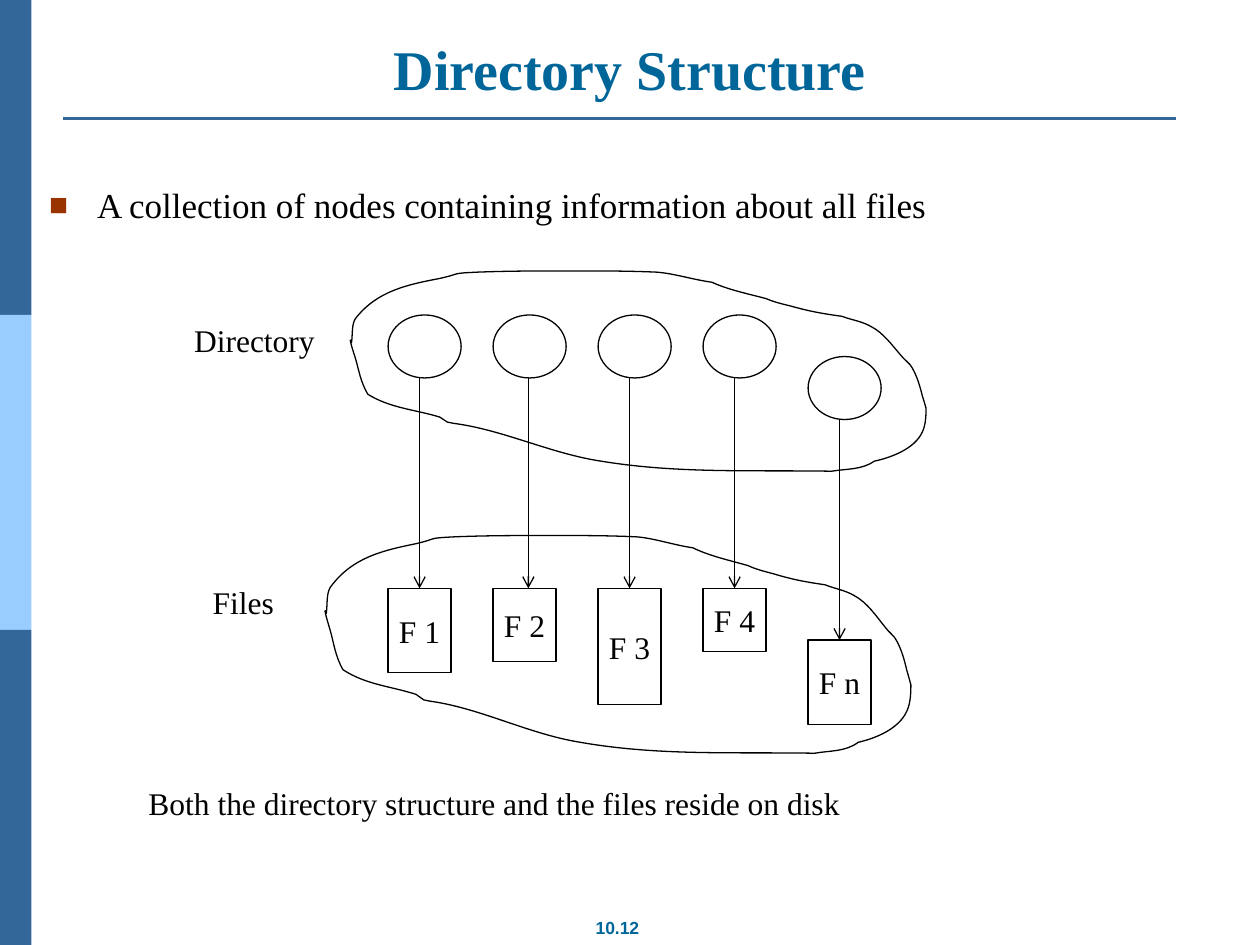
from lxml.etree import SubElement as Sub
from pptx import Presentation
from pptx.dml.color import RGBColor as RGB
from pptx.enum.shapes import MSO_CONNECTOR as Link, MSO_SHAPE as Kind
from pptx.enum.text import MSO_ANCHOR as Anchor, MSO_AUTO_SIZE as Auto, PP_ALIGN as Align
from pptx.oxml.ns import qn
from pptx.util import Inches, Pt

COLORS = {"dark": "336699", "light": "99CCFF", "title": "006699",
          "mark": "993300", "ink": "000000", "paper": "FFFFFF"}
SERIF, SANS = "Times New Roman", "Arial"
PITCH = 5 / 6

START = (1, 57)
SPAN = (458, 161)
CURVES = [
    (2, 50, 1, 43, 4, 38), (21, 16, 45, 11, 71, 6), (89, 2, 79, 2, 101, 1),
    (126, 0, 151, 0, 177, 0), (199, 0, 221, 0, 243, 1), (257, 2, 272, 7, 287, 9),
    (300, 15, 315, 18, 330, 22), (337, 25, 342, 26, 350, 28),
    (364, 32, 375, 34, 390, 36), (398, 39, 406, 40, 413, 44),
    (423, 49, 430, 59, 437, 67), (440, 71, 444, 73, 446, 77),
    (450, 84, 452, 91, 454, 99), (455, 102, 457, 109, 457, 109),
    (457, 113, 457, 122, 454, 128), (448, 141, 430, 148, 416, 151),
    (406, 158, 394, 157, 382, 159), (318, 158, 260, 161, 199, 151),
    (159, 145, 121, 126, 82, 121), (80, 121, 79, 120, 77, 120),
    (75, 119, 73, 117, 71, 116), (51, 110, 32, 109, 14, 98),
    (8, 88, 7, 79, 4, 69), (4, 69, 0, 57, 0, 55), (0, 54, 1, 56, 1, 57),
]


def color(name):
    return RGB.from_string(COLORS[name])


def place(shape, box):
    shape.left, shape.top, shape.width, shape.height = map(Inches, box)


def write(shape, text, size=18, font=SERIF, ink="ink", bold=False,
          align=Align.CENTER, anchor=Anchor.MIDDLE, wrap=False):
    frame = shape.text_frame
    frame.text = text
    frame.auto_size = Auto.NONE
    frame.word_wrap = wrap
    frame.vertical_anchor = anchor
    para = frame.paragraphs[0]
    para.alignment = align
    para.space_before = Pt(0)
    style = para.runs[0].font
    style.name, style.size, style.bold = font, Pt(size), bold
    style.color.rgb = color(ink)
    return para


def label(slide, text, box, **style):
    write(slide.shapes.add_textbox(*map(Inches, box)), text, **style)


def outline(shape, fill=None):
    shape.shadow.inherit = False
    if fill:
        shape.fill.solid()
        shape.fill.fore_color.rgb = color(fill)
    else:
        shape.fill.background()
    shape.line.color.rgb = color("ink")
    shape.line.width = Pt(0.75)


def node(slide, kind, box):
    shape = slide.shapes.add_shape(kind, *map(Inches, box))
    outline(shape, "paper")
    return shape


def stroke(slide, start, end, ink="ink", width=0.75, arrow=False):
    line = slide.shapes.add_connector(Link.STRAIGHT, *map(Inches, start + end))
    line.line.color.rgb = color(ink)
    line.line.width = Pt(width)
    props = line._element.spPr
    if arrow:
        Sub(props.find(qn("a:ln")), qn("a:tailEnd"), type="arrow")
    Sub(props, qn("a:effectLst"))
    return line


def blob(slide, box):
    build = slide.shapes.build_freeform(*START, scale=Inches(0.01))
    build.add_line_segments([curve[4:] for curve in CURVES], close=True)
    shape = build.convert_to_shape()
    place(shape, box)
    outline(shape)
    track = next(shape._element.iter(qn("a:path")))
    for key, size in zip("wh", SPAN):
        track.set(key, str(size))
    for part in track.findall(qn("a:lnTo")):
        track.remove(part)
    close = track.find(qn("a:close"))
    for curve in CURVES:
        bend = Sub(track, qn("a:cubicBezTo"))
        for x, y in zip(curve[::2], curve[1::2]):
            Sub(bend, qn("a:pt"), x=str(x), y=str(y))
    track.append(close)


def frame(slide, box):
    left, top, width, height = box
    band = height / 3
    for i, ink in enumerate(("dark", "light", "dark")):
        bar = slide.shapes.add_shape(
            Kind.RECTANGLE, *map(Inches, (left, top + i * band, 0.25, band)))
        bar.shadow.inherit = False
        bar.fill.solid()
        bar.fill.fore_color.rgb = color(ink)
        bar.line.fill.background()
    stroke(slide, (left + 0.5, top + 0.94), (left + 9.33, top + 0.94), "dark", 1.5)
    label(slide, "10.12", (left + 4.37, top + 7.23, 1.06, 0.27), size=10,
          font=SANS, ink="title", bold=True, anchor=Anchor.TOP)


def heading(slide, box):
    title = slide.shapes.title
    place(title, box)
    write(title, "Directory Structure", size=32, ink="title", bold=True,
          anchor=Anchor.BOTTOM, wrap=True)


def points(slide, box):
    body = slide.placeholders[1]
    place(body, box)
    para = write(body, "A collection of nodes containing information about all files",
                 size=20, align=Align.LEFT, anchor=Anchor.TOP, wrap=True)
    props = para._p.get_or_add_pPr()
    props.set("marL", str(Inches(0.38)))
    props.set("indent", str(-Inches(0.38)))
    Sub(Sub(props, qn("a:buClr")), qn("a:srgbClr"), val=COLORS["mark"])
    Sub(props, qn("a:buSzPct"), val="90000")
    Sub(props, qn("a:buFont"), typeface=SANS)
    Sub(props, qn("a:buChar"), char="■")
    para.line_spacing = 0.8


def diagram(slide, box):
    left, top = box[:2]
    files = [("F 1", 0, 2.17, 0.67), ("F 2", 0, 2.17, 0.58), ("F 3", 0, 2.17, 0.92),
             ("F 4", 0, 2.17, 0.5), ("F n", 0.33, 2.58, 0.67)]
    for i, (name, drop, down, tall) in enumerate(files):
        x = left + 1.64 + i * PITCH
        y = top + 0.35 + drop
        node(slide, Kind.OVAL, (x, y, 0.58, 0.5))
        base = top + 0.35 + down
        file = node(slide, Kind.RECTANGLE, (x, base, 0.5, tall))
        write(file, name)
        shift = 0.03 if name == "F 2" else 0
        mid = x + 0.25 + shift
        arrow = stroke(slide, (mid, y + 0.5), (mid, base), arrow=True)
        if not shift:
            arrow.end_connect(file, 0)
    blob(slide, (left + 1.34, top, 4.58, 1.61))
    blob(slide, (left + 1.14, top + 2.1, 4.66, 1.75))
    label(slide, "Directory", (left, top + 0.35, 1.16, 0.4))
    label(slide, "Files", (left + 0.15, top + 2.43, 0.68, 0.4))


def main():
    deck = Presentation()
    deck.slide_width, deck.slide_height = Inches(10), Inches(7.5)
    slide = deck.slides.add_slide(deck.slide_layouts[1])
    frame(slide, (0, 0, 10, 7.5))
    heading(slide, (0.5, 0.23, 9, 0.63))
    points(slide, (0.29, 1.47, 8.06, 0.39))
    diagram(slide, (1.44, 2.15, 5.92, 3.85))
    label(slide, "Both the directory structure and the files reside on disk",
          (1.08, 6.17, 8.31, 0.42), align=Align.LEFT, anchor=Anchor.TOP, wrap=True)
    deck.save("out.pptx")


if __name__ == "__main__":
    main()
